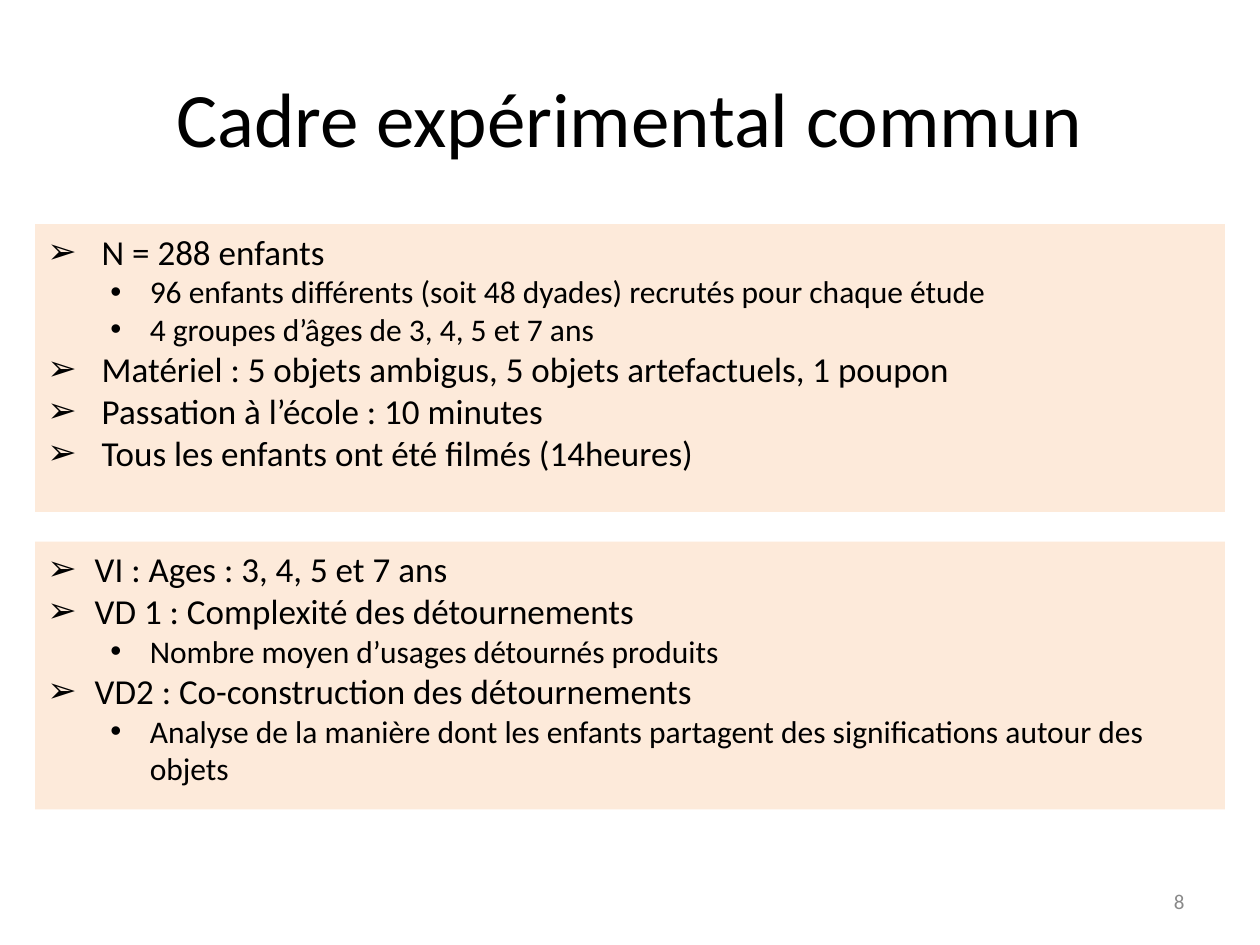
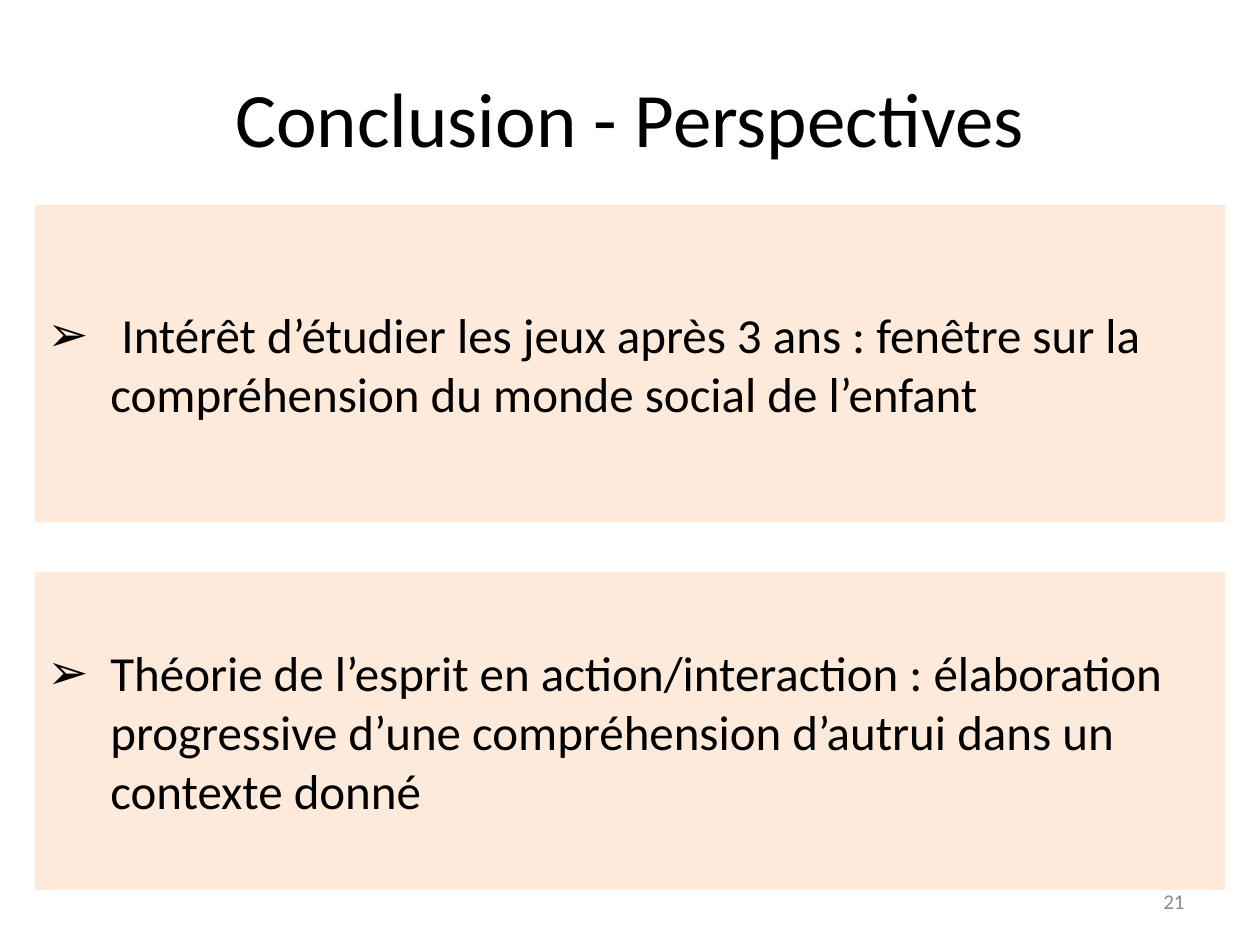
"""Build two slides on the study of children's play: experimental frame and conclusion."""
from pptx import Presentation
from pptx.dml.color import RGBColor
from pptx.enum.shapes import MSO_SHAPE
from pptx.enum.text import MSO_ANCHOR as Anchor, PP_ALIGN as Align
from pptx.oxml.ns import qn
from pptx.util import Pt
from lxml.etree import SubElement

COLOURS = {"text": "000000", "panel": "FDEADA", "number": "898989"}
FONT = "Calibri"
PANEL_LEFT, PANEL_WIDTH = 20, 680
SUB_SIZE, SUB_INDENT, SUB_HANG = 18, 58.5, 22.5


def add_run(paragraph, words, size, colour, align):
    paragraph.alignment = align
    run = paragraph.add_run()
    run.text = words
    run.font.name = FONT
    run.font.size = Pt(size)
    run.font.color.rgb = RGBColor.from_string(COLOURS[colour])


def add_bullet(paragraph, mark, indent, hang):
    properties = paragraph._p.get_or_add_pPr()
    properties.set("marL", str(Pt(indent)))
    properties.set("indent", str(-Pt(hang)))
    SubElement(properties, qn("a:buFont"), typeface="Arial")
    SubElement(properties, qn("a:buChar"), char=mark)


slides = [
    {
        "title": "Cadre expérimental commun",
        "number": "8",
        "size": 20,
        "anchor": Anchor.TOP,
        "panels": [
            (128, 164.5, 31, [
                (0, "N = 288 enfants"),
                (1, "96 enfants différents (soit 48 dyades) recrutés pour chaque étude"),
                (1, "4 groupes d’âges de 3, 4, 5 et 7 ans"),
                (0, "Matériel : 5 objets ambigus, 5 objets artefactuels, 1 poupon"),
                (0, "Passation à l’école : 10 minutes"),
                (0, "Tous les enfants ont été filmés (14heures)"),
            ]),
            (309.5, 153, 27, [
                (0, "VI : Ages : 3, 4, 5 et 7 ans"),
                (0, "VD 1 : Complexité des détournements"),
                (1, "Nombre moyen d’usages détournés produits"),
                (0, "VD2 : Co-construction des détournements"),
                (1, "Analyse de la manière dont les enfants partagent des "
                    "significations autour des objets"),
            ]),
        ],
    },
    {
        "title": "Conclusion - Perspectives",
        "number": "21",
        "size": 28,
        "anchor": Anchor.MIDDLE,
        "panels": [
            (117, 181.5, 36, [
                (0, " Intérêt d’étudier les jeux après 3 ans : fenêtre sur la "
                    "compréhension du monde social de l’enfant"),
            ]),
            (327, 181.5, 36, [
                (0, "Théorie de l’esprit en action/interaction : élaboration "
                    "progressive d’une compréhension d’autrui dans un contexte donné"),
            ]),
        ],
    },
]

deck = Presentation()
deck.slide_width, deck.slide_height = Pt(720), Pt(540)

for content in slides:
    slide = deck.slides.add_slide(deck.slide_layouts[6])

    labels = [
        (content["title"], (36, 21.5, 648, 90), 44, "text", Align.CENTER),
        (content["number"], (516, 500.5, 168, 28.5), 12, "number", Align.RIGHT),
    ]
    for words, place, size, colour, align in labels:
        label = slide.shapes.add_textbox(*map(Pt, place)).text_frame
        label.word_wrap = True
        label.vertical_anchor = Anchor.MIDDLE
        add_run(label.paragraphs[0], words, size, colour, align)

    for top, height, indent, points in content["panels"]:
        panel = slide.shapes.add_shape(
            MSO_SHAPE.RECTANGLE, Pt(PANEL_LEFT), Pt(top), Pt(PANEL_WIDTH), Pt(height))
        panel.shadow.inherit = False
        panel.fill.solid()
        panel.fill.fore_color.rgb = RGBColor.from_string(COLOURS["panel"])
        panel.line.fill.background()
        frame = panel.text_frame
        frame.word_wrap = True
        frame.vertical_anchor = content["anchor"]
        for index, (level, words) in enumerate(points):
            point = frame.add_paragraph() if index else frame.paragraphs[0]
            point.level = level
            if level:
                add_bullet(point, "•", SUB_INDENT, SUB_HANG)
            else:
                add_bullet(point, "➢", indent, indent)
            add_run(point, words, SUB_SIZE if level else content["size"], "text", Align.LEFT)

deck.save("out.pptx")
